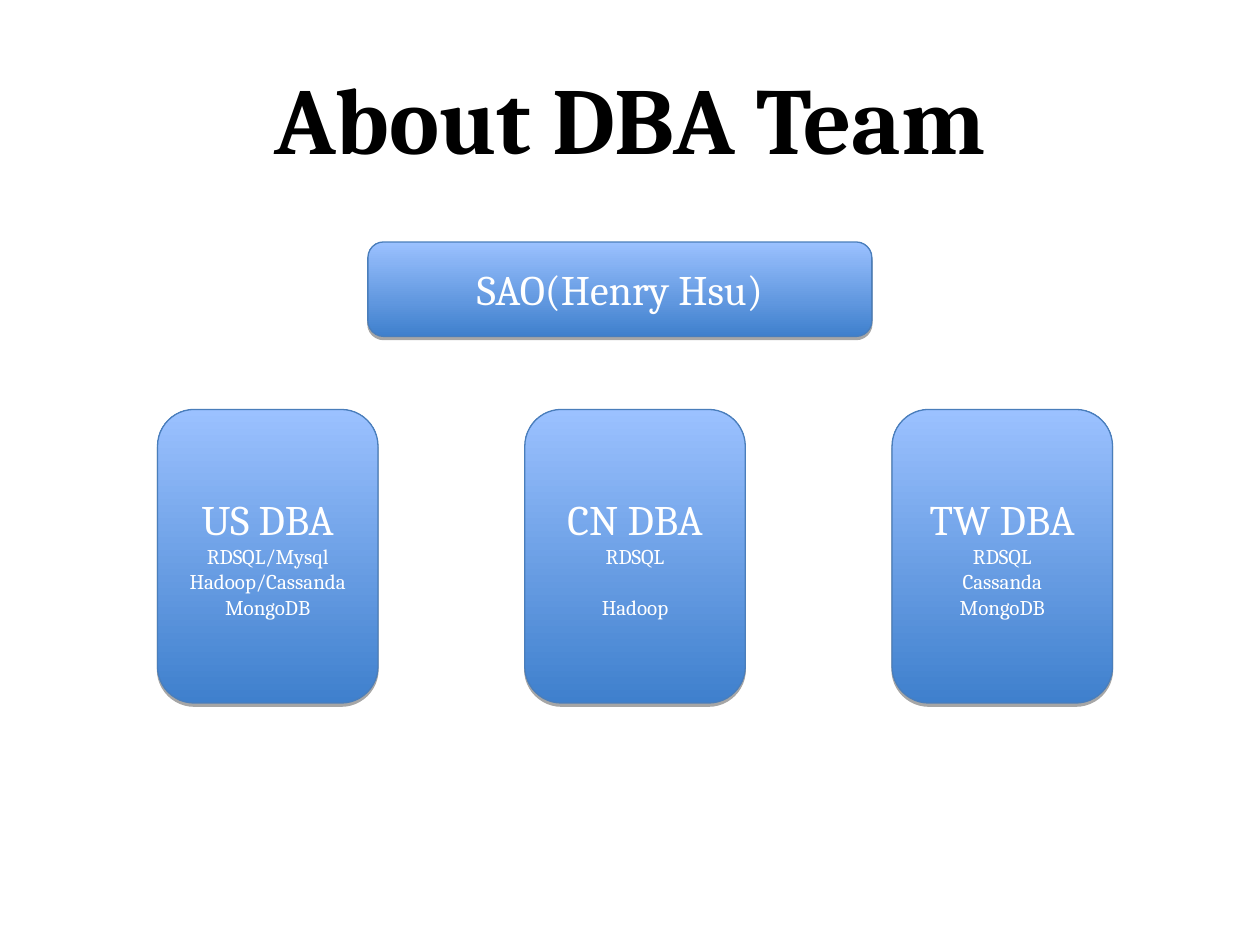
import lxml.etree
import pptx
import pptx.dml.color
import pptx.enum.shapes
import pptx.enum.text
import pptx.oxml.ns
import pptx.util

Inches = pptx.util.Inches
Pt = pptx.util.Pt
RGBColor = pptx.dml.color.RGBColor

BLACK = RGBColor(0x00, 0x00, 0x00)
WHITE = RGBColor(0xFF, 0xFF, 0xFF)
DEEP_BLUE = RGBColor(0x3F, 0x80, 0xCD)
LIGHT_BLUE = RGBColor(0x9B, 0xC1, 0xFF)
OUTLINE_BLUE = RGBColor(0x4A, 0x7E, 0xBB)

TEAMS = [
    ("US DBA", ["RDSQL/Mysql", "Hadoop/Cassanda", "MongoDB"], 0),
    ("CN DBA", ["RDSQL", "Hadoop"], 14.5),
    ("TW DBA", ["RDSQL", "Cassanda", "MongoDB"], 0),
]


def write_paragraph(paragraph, text, size=12, color=WHITE, bold=False, before=0):
    """Write centred text into a paragraph with the given format."""
    paragraph.text = text
    paragraph.alignment = pptx.enum.text.PP_ALIGN.CENTER
    paragraph.space_before = Pt(before)
    paragraph.font.name = "Cambria"
    paragraph.font.size = Pt(size)
    paragraph.font.bold = bold
    paragraph.font.color.rgb = color


def add_shadow(shape):
    """Give the shape a thin hard shadow straight below it."""
    shape.shadow.inherit = False
    qn = pptx.oxml.ns.qn
    effects = shape.element.spPr.find(qn("a:effectLst"))
    shadow = lxml.etree.SubElement(
        effects, qn("a:outerShdw"), dist=str(Pt(1.8)), dir="5400000", rotWithShape="0")
    color = lxml.etree.SubElement(shadow, qn("a:srgbClr"), val=str(BLACK))
    lxml.etree.SubElement(color, qn("a:alpha"), val="35000")


def add_title(slide, left, top, width, height):
    """Add the slide title in the given box."""
    frame = slide.shapes.add_textbox(left, top, width, height).text_frame
    frame.word_wrap = True
    frame.vertical_anchor = pptx.enum.text.MSO_ANCHOR.MIDDLE
    write_paragraph(frame.paragraphs[0], "About DBA Team", size=54, color=BLACK, bold=True)


def add_card(slide, left, top, width, height, heading, skills=(), gap=0):
    """Add a gradient card with a heading and skills set apart by a gap."""
    shape = slide.shapes.add_shape(
        pptx.enum.shapes.MSO_SHAPE.FLOWCHART_ALTERNATE_PROCESS, left, top, width, height)
    shape.fill.gradient()
    shape.fill.gradient_angle = 90
    for stop, color in zip(shape.fill.gradient_stops, (DEEP_BLUE, LIGHT_BLUE)):
        stop.color.rgb = color
    shape.line.color.rgb = OUTLINE_BLUE
    shape.line.width = Pt(0.75)
    add_shadow(shape)
    frame = shape.text_frame
    frame.word_wrap = True
    frame.vertical_anchor = pptx.enum.text.MSO_ANCHOR.MIDDLE
    write_paragraph(frame.paragraphs[0], heading, size=24)
    for index, skill in enumerate(skills):
        write_paragraph(frame.add_paragraph(), skill, before=gap if index else 0)


def add_team_row(slide, left, top, width, height):
    """Add the team cards, spread evenly across the given box."""
    card_width = Inches(1.75)
    step = (width - card_width) // (len(TEAMS) - 1)
    for index, (heading, skills, gap) in enumerate(TEAMS):
        add_card(slide, left + index * step, top, card_width, height, heading, skills, gap)


def main():
    """Build the team slide and save it."""
    presentation = pptx.Presentation()
    presentation.slide_width = Inches(10)
    presentation.slide_height = Inches(7.5)
    slide = presentation.slides.add_slide(presentation.slide_layouts[6])
    add_title(slide, Inches(0.5), Inches(0.3), Inches(9), Inches(1.25))
    add_card(slide, Inches(2.92), Inches(1.92), Inches(4), Inches(0.75), "SAO(Henry Hsu)")
    add_team_row(slide, Inches(1.25), Inches(3.25), Inches(7.58), Inches(2.33))
    presentation.save("out.pptx")


if __name__ == "__main__":
    main()
